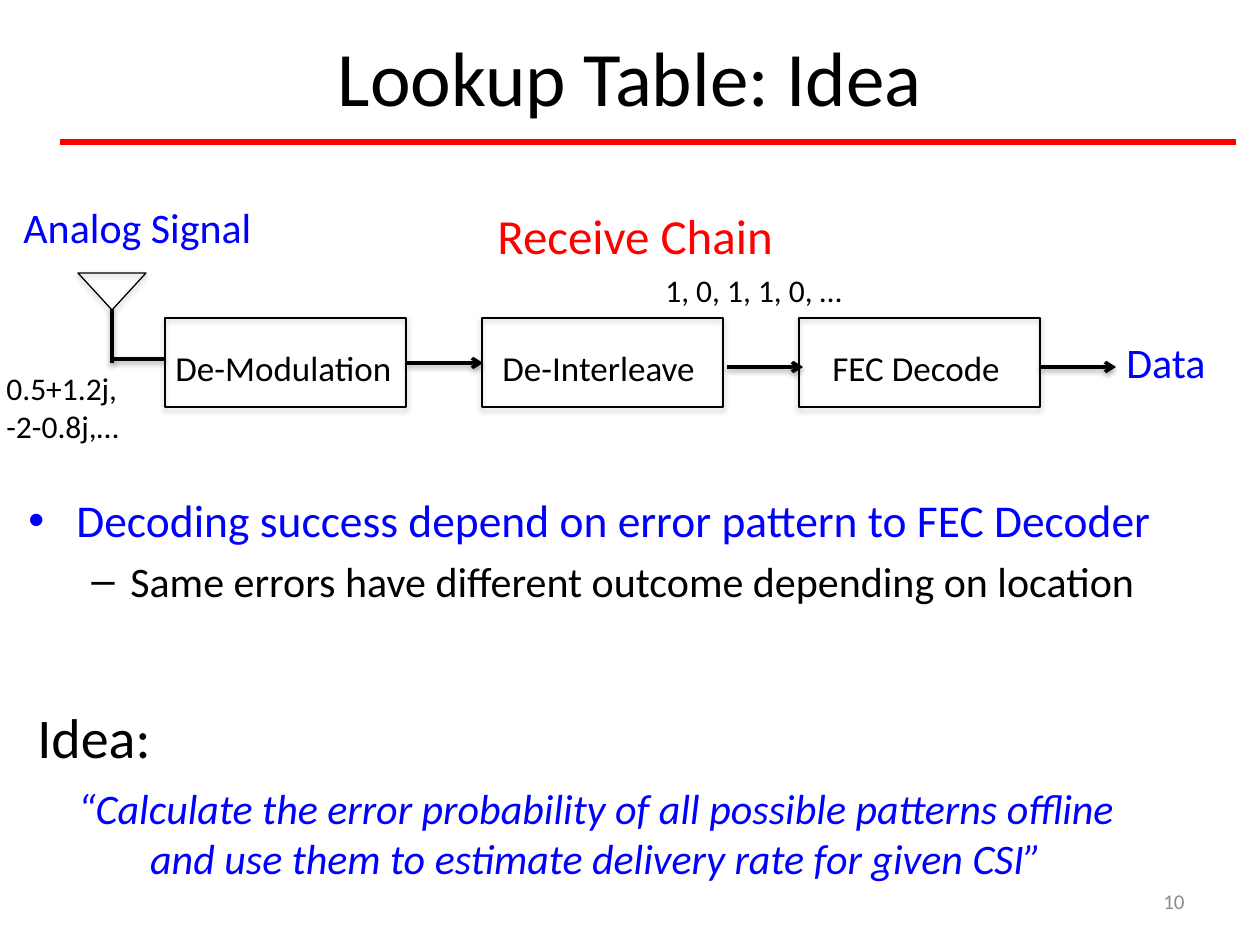
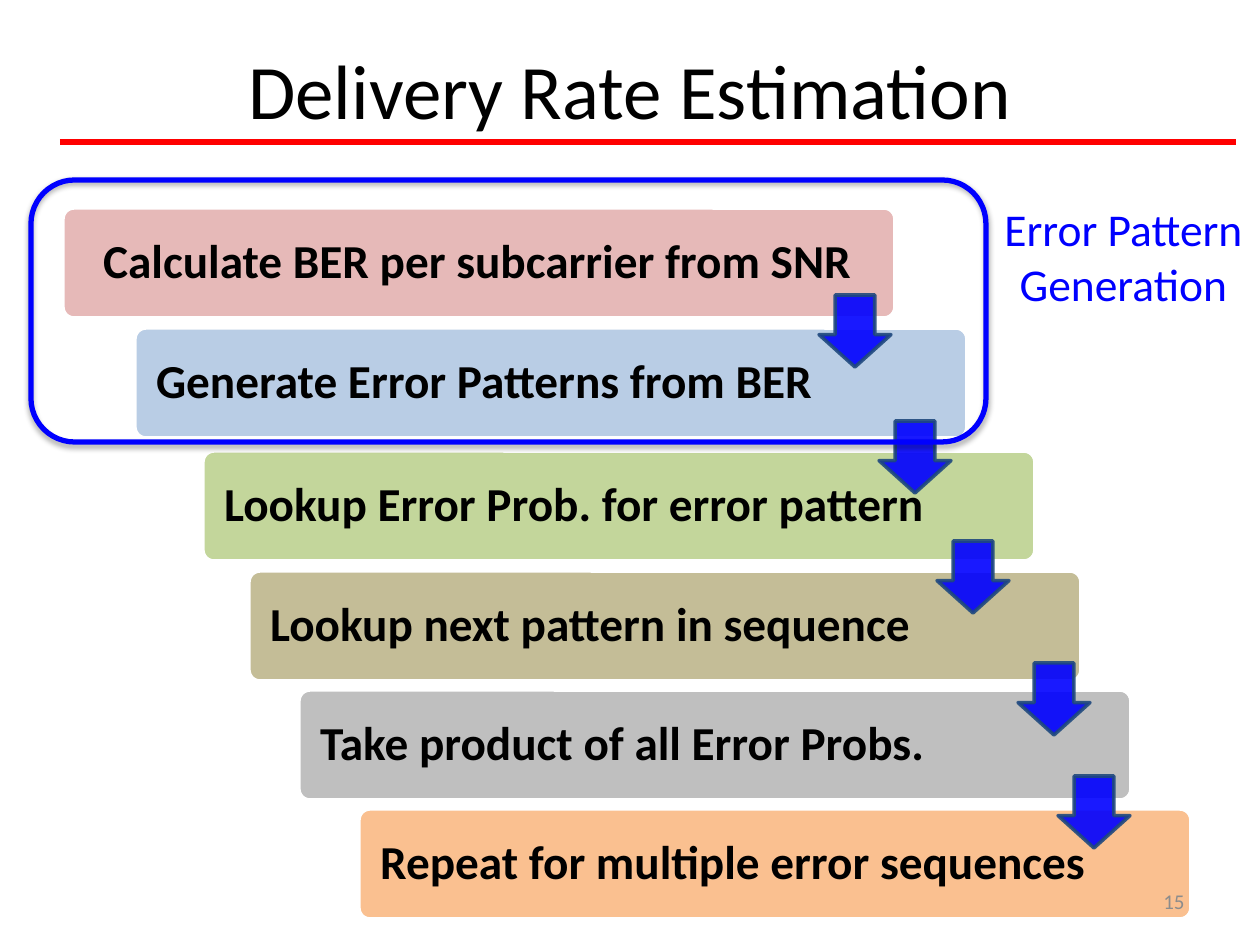
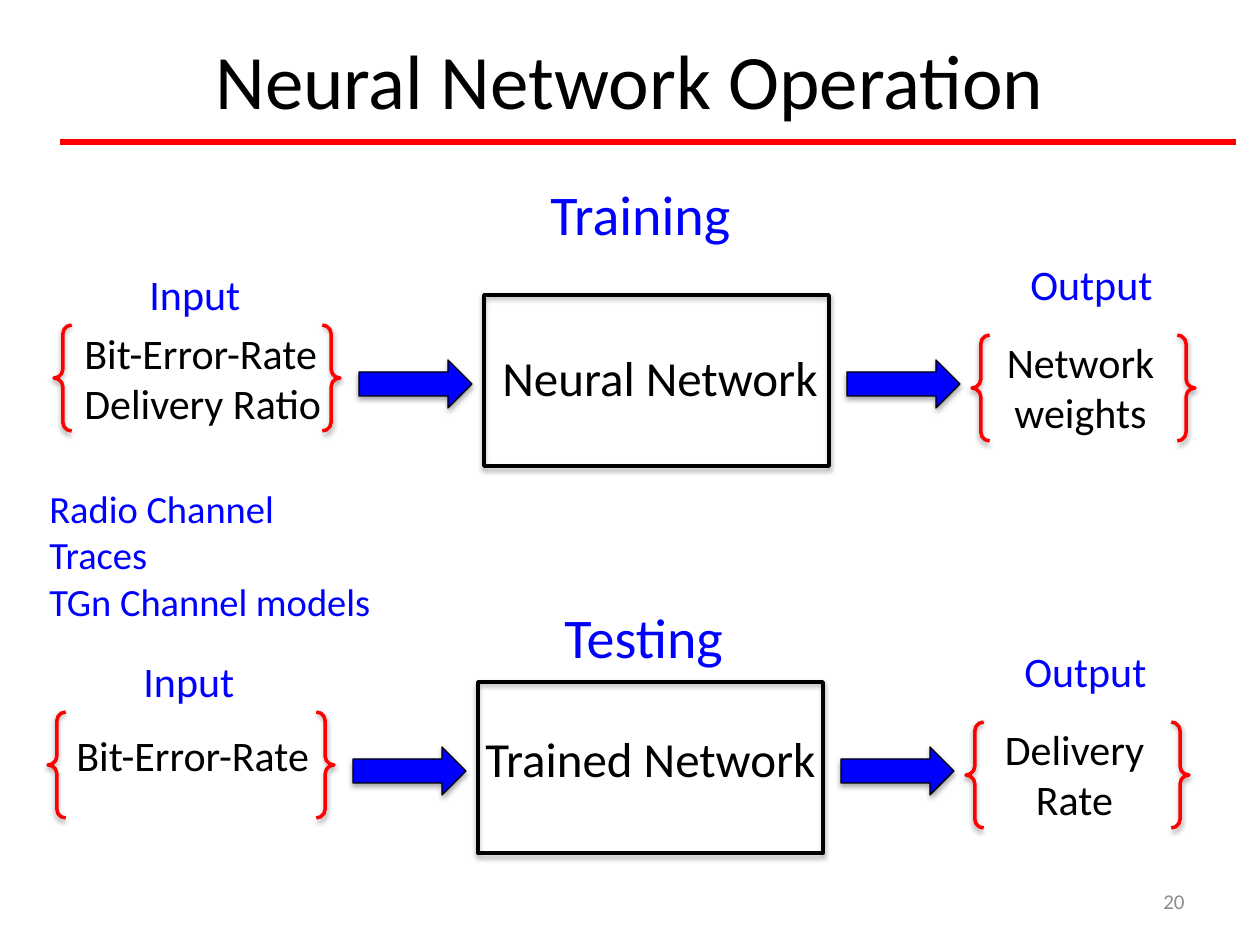
from lxml.etree import SubElement
from pptx import Presentation
from pptx.dml.color import RGBColor
from pptx.enum.shapes import MSO_CONNECTOR, MSO_SHAPE
from pptx.enum.text import MSO_ANCHOR, MSO_AUTO_SIZE, PP_ALIGN
from pptx.oxml.ns import qn
from pptx.util import Emu, Pt

EMU_PER_PX = 914400 / 126
FONT = "Calibri"
COLORS = {
    "black": "000000", "white": "FFFFFF", "red": "FF0000", "blue": "0000FF",
    "gray": "8C8C8C", "navy": "1F497D", "rose": "E6B9B8", "sky": "B9CDE5",
    "olive": "C3D69B", "tan": "C4BD97", "silver": "BFBFBF", "orange": "FAC090",
}


def px(*lengths):
    return [Emu(round(length * EMU_PER_PX)) for length in lengths]


def rgb(color):
    return RGBColor.from_string(COLORS[color])


# Text
def add_run(paragraph, words, size, color, bold=False, italic=False):
    run = paragraph.add_run()
    run.text = words
    font = run.font
    font.name, font.size = FONT, Pt(size)
    font.bold, font.italic = bold, italic
    font.color.rgb = rgb(color)


def add_text(slide, box, lines, size, color="black", wrap=False,
             align=PP_ALIGN.LEFT, anchor=MSO_ANCHOR.TOP, italic=False):
    frame = slide.shapes.add_textbox(*px(*box)).text_frame
    frame.word_wrap = wrap
    frame.vertical_anchor = anchor
    if anchor == MSO_ANCHOR.TOP:
        frame.auto_size = MSO_AUTO_SIZE.SHAPE_TO_FIT_TEXT
    for index, words in enumerate(lines):
        paragraph = frame.paragraphs[0] if index == 0 else frame.add_paragraph()
        paragraph.alignment = align
        add_run(paragraph, words, size, color, italic=italic)


def add_bullets(slide, box, bullets):
    frame = slide.shapes.add_textbox(*px(*box)).text_frame
    frame.word_wrap = True
    for index, (mark, margin, hang, words, size, color) in enumerate(bullets):
        paragraph = frame.paragraphs[0] if index == 0 else frame.add_paragraph()
        paragraph.space_before = Pt(size / 5)
        add_run(paragraph, words, size, color)
        properties = paragraph._p.get_or_add_pPr()
        left, indent = px(margin, -hang)
        properties.set("marL", str(left))
        properties.set("indent", str(indent))
        SubElement(properties, qn("a:buFont"), typeface="Arial")
        SubElement(properties, qn("a:buChar"), char=mark)


# Shapes and lines
def add_shadow(effects):
    cast = SubElement(effects, qn("a:outerShdw"), blurRad="40000", dist="23000",
                      dir="5400000", rotWithShape="0")
    shade = SubElement(cast, qn("a:srgbClr"), val=COLORS["black"])
    SubElement(shade, qn("a:alpha"), val="35000")


def add_figure(slide, kind, box, fill=None, line="black", width=0.75, shadow=True):
    figure = slide.shapes.add_shape(kind, *px(*box))
    if fill:
        figure.fill.solid()
        figure.fill.fore_color.rgb = rgb(fill)
    else:
        figure.fill.background()
    figure.line.color.rgb = rgb(line)
    figure.line.width = Pt(width)
    figure.shadow.inherit = False
    if shadow:
        add_shadow(figure.element.spPr.find(qn("a:effectLst")))
    return figure


def add_line(slide, ends, color="black", width=2, arrow=False, shadow=True):
    connector = slide.shapes.add_connector(MSO_CONNECTOR.STRAIGHT, *px(*ends))
    connector.line.color.rgb = rgb(color)
    connector.line.width = Pt(width)
    if arrow:
        SubElement(connector.line._get_or_add_ln(), qn("a:tailEnd"), type="arrow")
    effects = SubElement(connector.element.spPr, qn("a:effectLst"))
    if shadow:
        add_shadow(effects)


# Parts shared by all slides
def start_slide(deck, title, title_top):
    slide = deck.slides.add_slide(deck.slide_layouts[6])
    add_text(slide, (63, title_top, 1134, 158), [title], 44, wrap=True,
             align=PP_ALIGN.CENTER, anchor=MSO_ANCHOR.MIDDLE)
    add_line(slide, (60, 142, 1236, 142), "red", 3, shadow=False)
    return slide


def add_page_number(slide, number):
    add_text(slide, (903, 876, 294, 50), [str(number)], 12, "gray", wrap=True,
             align=PP_ALIGN.RIGHT, anchor=MSO_ANCHOR.MIDDLE)


# Slide: lookup table
def build_lookup_table(deck):
    slide = start_slide(deck, "Lookup Table: Idea", -3)
    add_bullets(slide, (16, 486, 1194, 244), [
        ("•", 48, 48, "Decoding success depend on error pattern to FEC Decoder",
         26, "blue"),
        ("–", 102, 39, "Same errors have different outcome depending on location",
         24, "black"),
    ])

    # Receive chain
    add_text(slide, (485, 199, 305, 72), ["Receive Chain"], 28, "red")
    stages = [("De-Modulation", 163, 243), ("De-Interleave", 490, 220),
              ("FEC Decode", 820, 195)]
    for index, (stage, left, width) in enumerate(stages):
        add_figure(slide, MSO_SHAPE.RECTANGLE, (165 + 317 * index, 318, 241, 89))
        add_text(slide, (left, 340, width, 55), [stage], 20)
    for start, y in ((407, 363), (727, 367), (1040, 367)):
        add_line(slide, (start, y, start + 76, y), arrow=True)

    # Antenna
    antenna = add_figure(slide, MSO_SHAPE.ISOSCELES_TRIANGLE, (78, 273, 68, 37))
    antenna.rotation = 180
    add_line(slide, (112, 309, 112, 363))
    add_line(slide, (112, 359, 165, 359))

    # Signals along the chain
    add_text(slide, (1114, 330, 106, 63), ["Data"], 24, "blue")
    add_text(slide, (11, 195, 256, 63), ["Analog Signal"], 24, "blue")
    add_text(slide, (-6, 363, 139, 89), ["0.5+1.2j,", "-2-0.8j,…"], 18)
    add_text(slide, (653, 265, 204, 50), ["1, 0, 1, 1, 0, …"], 18)

    # Idea
    add_text(slide, (25, 696, 140, 81), ["Idea:"], 32)
    add_text(slide, (60, 776, 1072, 115),
             ["“Calculate the error probability of all possible patterns offline "
              "and use them to estimate delivery rate for given CSI”"],
             24, "blue", wrap=True, align=PP_ALIGN.CENTER, italic=True)
    add_page_number(slide, 10)


# Slide: delivery rate
def add_step(slide, words, fill, left, top, inset):
    step = add_figure(slide, MSO_SHAPE.ROUNDED_RECTANGLE, (left, top, 832, 110),
                      fill, "white", 2, shadow=False)
    step.adjustments[0] = 0.1
    frame = step.text_frame
    frame.word_wrap = True
    frame.vertical_anchor = MSO_ANCHOR.MIDDLE
    frame.margin_left, frame.margin_right = px(inset, 14)
    paragraph = frame.paragraphs[0]
    paragraph.alignment = PP_ALIGN.LEFT
    paragraph.line_spacing = 0.9
    add_run(paragraph, words, 27, "black", bold=True)


def add_step_arrow(slide, left, top):
    arrow = add_figure(slide, MSO_SHAPE.DOWN_ARROW, (left, top, 72, 72),
                       "blue", "navy", 2, shadow=False)
    arrow.adjustments[0], arrow.adjustments[1] = 0.55, 0.45
    for color in arrow.element.spPr.iter(qn("a:srgbClr")):
        SubElement(color, qn("a:alpha"), val="90000")


def build_delivery_rate(deck):
    slide = start_slide(deck, "Delivery Rate Estimation", 10)
    steps = [
        ("Calculate BER per subcarrier from SNR", "rose", 63, 208, 37),
        ("Generate Error Patterns from BER", "sky", 135, 328, 18),
        ("Lookup Error Prob. for error pattern", "olive", 203, 451, 18),
        ("Lookup next pattern in sequence", "tan", 249, 571, 18),
        ("Take product of all Error Probs.", "silver", 299, 690, 18),
        ("Repeat for multiple error sequences", "orange", 359, 809, 18),
    ]
    for step in steps:
        add_step(slide, *step)
    for corner in ((819, 295), (879, 421), (937, 541), (1018, 663), (1058, 776)):
        add_step_arrow(slide, *corner)
    add_page_number(slide, 15)

    # Error pattern generation
    add_figure(slide, MSO_SHAPE.ROUNDED_RECTANGLE, (31, 180, 955, 262),
               line="blue", width=3)
    add_text(slide, (987, 195, 273, 123), ["Error Pattern Generation"], 26, "blue",
             wrap=True, align=PP_ALIGN.CENTER)


# Slide: neural network
def add_phase(slide, dx, dy, heading, network, inputs, output):
    def moved(left, top, width, height):
        return left + dx, top + dy, width, height

    add_text(slide, heading[1], [heading[0]], 32, "blue")
    add_figure(slide, MSO_SHAPE.RECTANGLE, moved(484, 295, 345, 171), width=2)
    add_text(slide, network[1], [network[0]], 28)
    for left in (359, 847):
        add_figure(slide, MSO_SHAPE.RIGHT_ARROW, moved(left, 360, 113, 48), "blue")
    add_text(slide, inputs[1], inputs[0], 24)
    add_text(slide, moved(984, 330, 193, 115), [output], 24, wrap=True,
             align=PP_ALIGN.CENTER)
    for brace in ((54, 325, 286, 106), (972, 335, 223, 106)):
        add_figure(slide, MSO_SHAPE.DOUBLE_BRACE, moved(*brace), line="red", width=2)
    add_text(slide, moved(137, 262, 117, 63), ["Input"], 24, "blue")
    add_text(slide, moved(1018, 252, 149, 63), ["Output"], 24, "blue")


def build_neural_network(deck):
    slide = start_slide(deck, "Neural Network Operation", 0)
    add_phase(slide, 0, 0,
              heading=("Training", (538, 173, 212, 81)),
              network=("Neural Network", (490, 341, 345, 54)),
              inputs=(["Bit-Error-Rate", "Delivery Ratio"], (72, 321, 266, 115)),
              output="Network weights")
    add_text(slide, (37, 479, 352, 106),
             ["Radio Channel Traces", "TGn Channel models"], 22, "blue")
    add_phase(slide, -6, 387,
              heading=("Testing", (552, 596, 192, 81)),
              network=("Trained Network", (473, 722, 364, 72)),
              inputs=(["Bit-Error-Rate"], (64, 723, 265, 63)),
              output="Delivery Rate")
    add_page_number(slide, 20)


def main():
    deck = Presentation()
    deck.slide_width, deck.slide_height = px(1260, 945)
    build_lookup_table(deck)
    build_delivery_rate(deck)
    build_neural_network(deck)
    deck.save("out.pptx")


if __name__ == "__main__":
    main()
